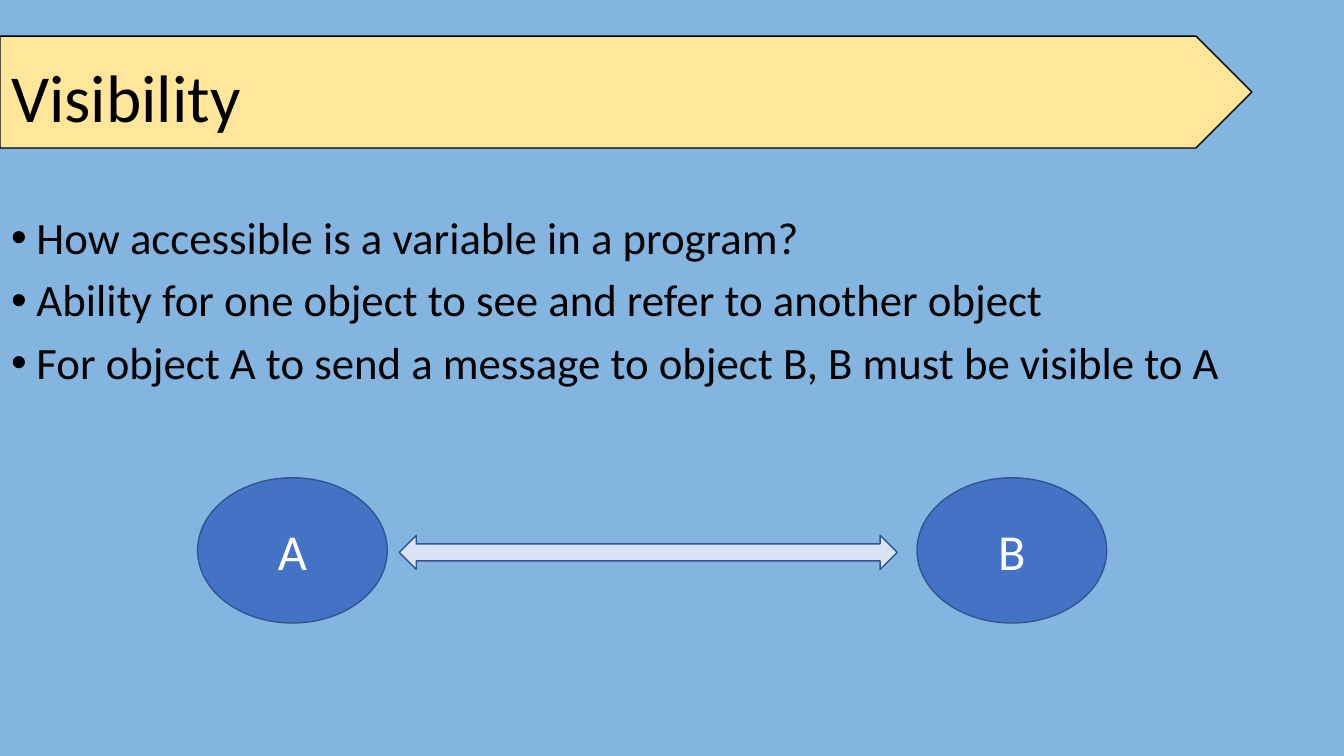
from lxml import etree
from pptx import Presentation
from pptx.dml.color import RGBColor
from pptx.enum.shapes import MSO_SHAPE
from pptx.enum.text import MSO_ANCHOR, PP_ALIGN
from pptx.oxml.ns import qn
from pptx.util import Cm, Pt

PENTAGON = MSO_SHAPE.PENTAGON
OVAL = MSO_SHAPE.OVAL
DOUBLE_ARROW = MSO_SHAPE.LEFT_RIGHT_ARROW
MIDDLE = MSO_ANCHOR.MIDDLE
CENTER = PP_ALIGN.CENTER

SKY = RGBColor(0x84, 0xB4, 0xE0)
CREAM = RGBColor(0xFF, 0xE6, 0x99)
BLUE = RGBColor(0x44, 0x72, 0xC4)
PALE_BLUE = RGBColor(0xDA, 0xE3, 0xF3)
DARK_BLUE = RGBColor(0x32, 0x54, 0x91)
BLACK = RGBColor(0x00, 0x00, 0x00)
WHITE = RGBColor(0xFF, 0xFF, 0xFF)


def add_filled_shape(kind, left, top, width, height, fill, outline):
    shape = slide.shapes.add_shape(kind, Cm(left), Cm(top), Cm(width), Cm(height))
    shape.shadow.inherit = False
    shape.fill.solid()
    shape.fill.fore_color.rgb = fill
    shape.line.color.rgb = outline
    shape.line.width = Pt(1)
    return shape


def add_text(paragraph, text, size, color):
    run = paragraph.add_run()
    run.text = text
    run.font.name = "Calibri"
    run.font.size = Pt(size)
    run.font.color.rgb = color


presentation = Presentation()
presentation.slide_width = Cm(33.87)
presentation.slide_height = Cm(19.05)
slide = presentation.slides.add_slide(presentation.slide_layouts[6])
slide.background.fill.solid()
slide.background.fill.fore_color.rgb = SKY

add_filled_shape(PENTAGON, 0, 0.91, 31.55, 2.82, CREAM, BLACK)

title_box = slide.shapes.add_textbox(Cm(0.03), Cm(0.71), Cm(29.21), Cm(3.68))
title_box.text_frame.word_wrap = True
title_box.text_frame.vertical_anchor = MIDDLE
title = title_box.text_frame.paragraphs[0]
title.line_spacing = 0.9
add_text(title, "Visibility", 48, BLACK)

body_box = slide.shapes.add_textbox(Cm(0.03), Cm(5.31), Cm(33.84), Cm(12.09))
body_box.text_frame.word_wrap = True
points = [
    "How accessible is a variable in a program?",
    "Ability for one object to see and refer to another object",
    "For object A to send a message to object B, B must be visible to A",
]
for index, point in enumerate(points):
    if index == 0:
        paragraph = body_box.text_frame.paragraphs[0]
    else:
        paragraph = body_box.text_frame.add_paragraph()
        paragraph.space_before = Pt(10)
    paragraph.line_spacing = 0.9
    properties = paragraph._p.get_or_add_pPr()
    properties.set("marL", str(Cm(0.64)))
    properties.set("indent", str(-Cm(0.64)))
    etree.SubElement(properties, qn("a:buFont")).set("typeface", "Arial")
    etree.SubElement(properties, qn("a:buChar")).set("char", "•")
    add_text(paragraph, point, 32, BLACK)

for name, left in (("A", 4.98), ("B", 23.11)):
    oval = add_filled_shape(OVAL, left, 12.04, 4.78, 3.66, BLUE, DARK_BLUE)
    oval.text_frame.vertical_anchor = MIDDLE
    label = oval.text_frame.paragraphs[0]
    label.alignment = CENTER
    add_text(label, name, 36, WHITE)

add_filled_shape(DOUBLE_ARROW, 10.06, 13.49, 12.55, 0.86, PALE_BLUE, DARK_BLUE)

presentation.save("out.pptx")
